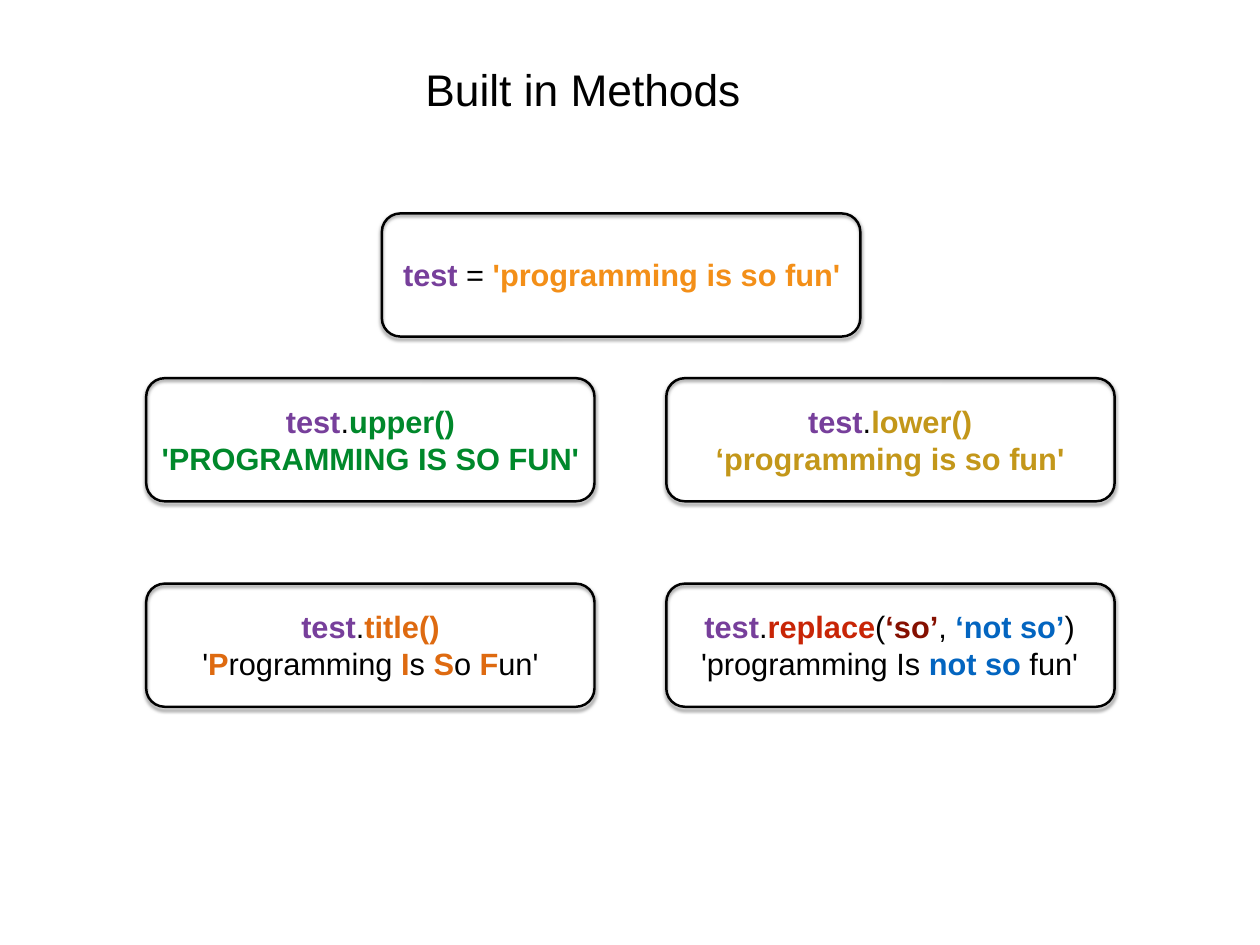
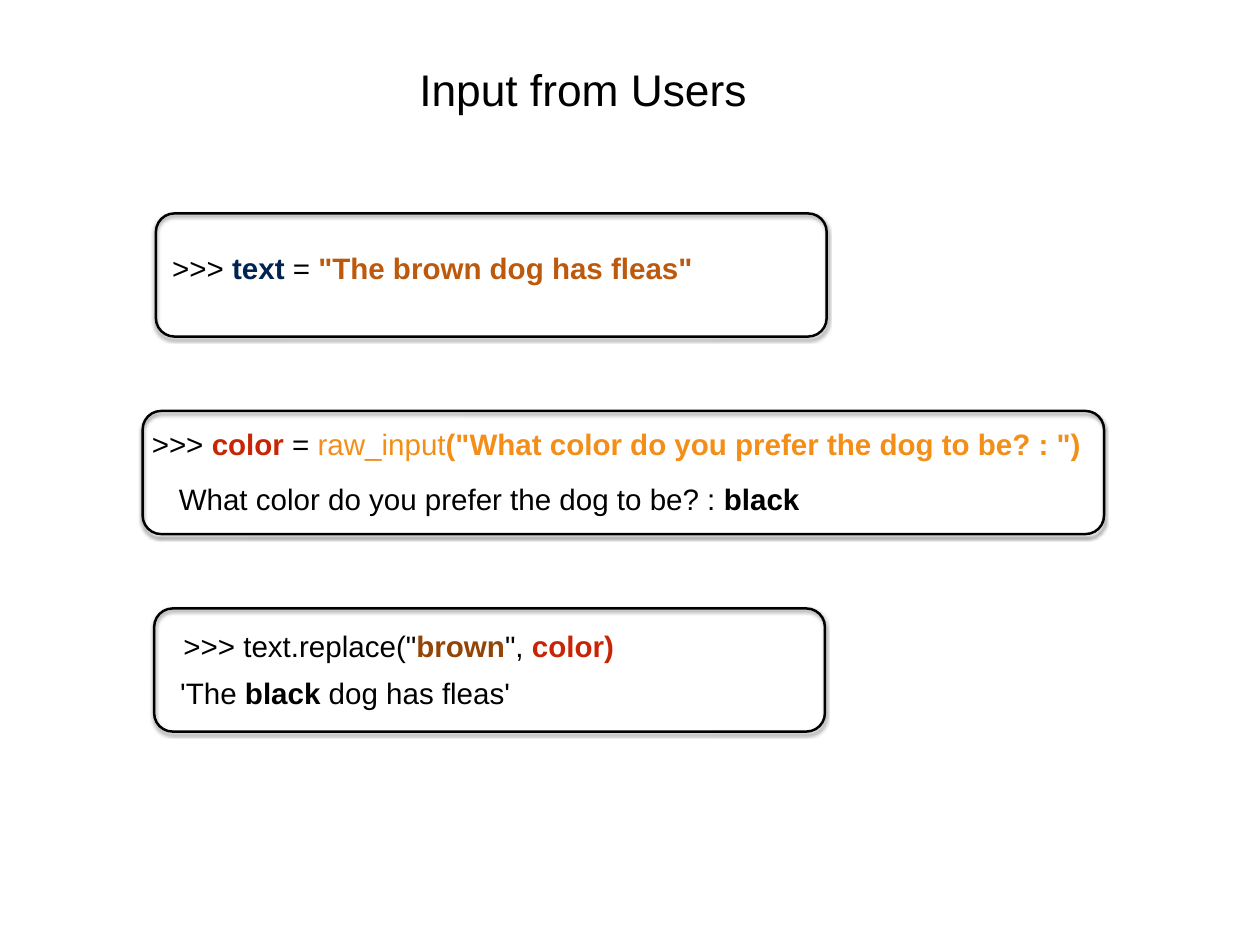
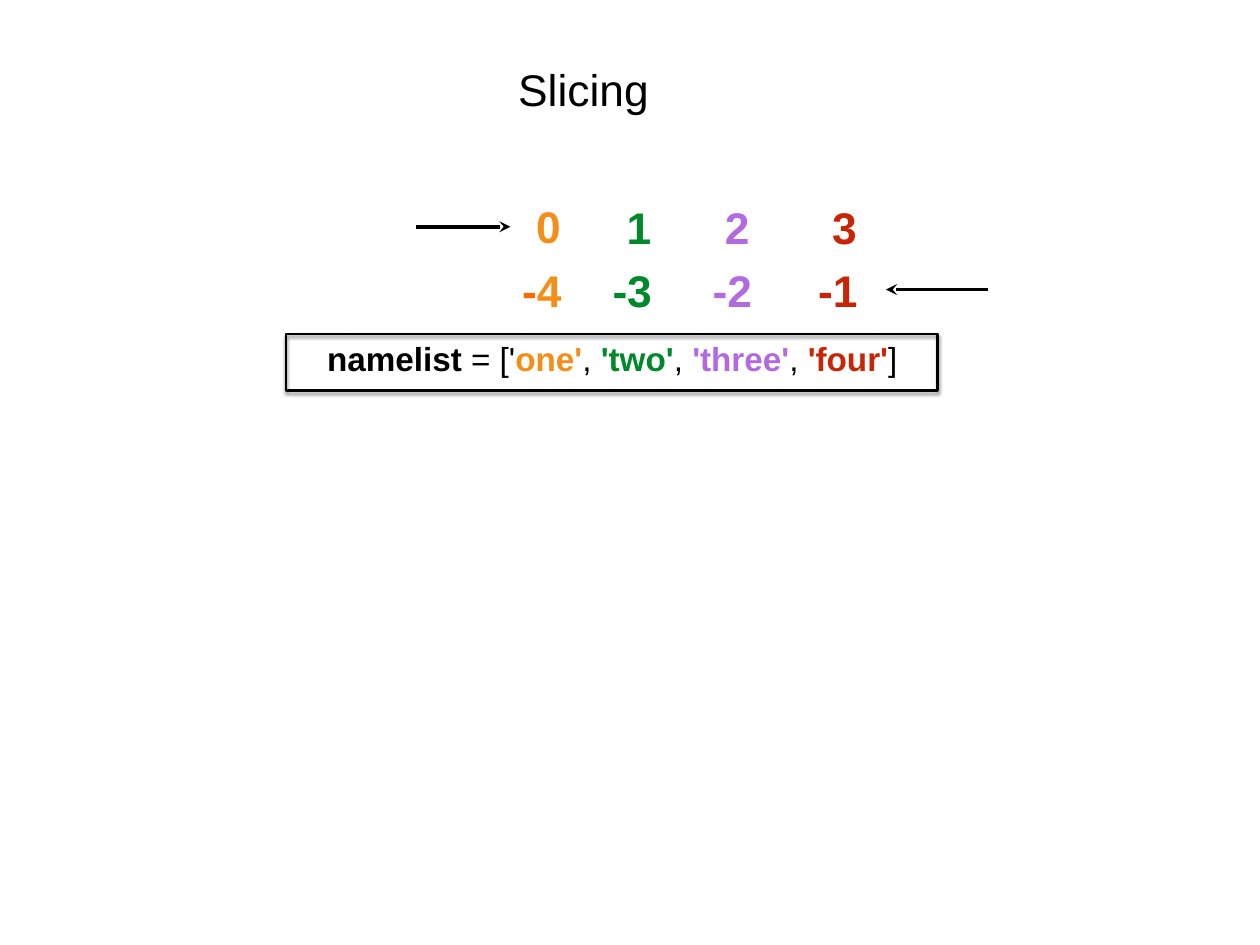
from lxml import etree
from pptx import Presentation
from pptx import util as u
from pptx.dml.color import RGBColor
from pptx.enum import shapes, text
from pptx.oxml.ns import qn

# Shared colours and style
BLACK = RGBColor(0x00, 0x00, 0x00)
WHITE = RGBColor(0xFF, 0xFF, 0xFF)
PURPLE = RGBColor(0x77, 0x3F, 0x9B)
LILAC = RGBColor(0xB3, 0x6A, 0xE1)
AMBER = RGBColor(0xF3, 0x8F, 0x18)
ORANGE = RGBColor(0xDE, 0x6A, 0x10)
BRIGHT_ORANGE = RGBColor(0xFF, 0x6A, 0x00)
RUST = RGBColor(0xBD, 0x59, 0x0C)
BROWN = RGBColor(0x92, 0x45, 0x07)
GOLD = RGBColor(0xC3, 0x97, 0x1A)
GREEN = RGBColor(0x00, 0x88, 0x2B)
RED = RGBColor(0xC8, 0x25, 0x06)
DARK_RED = RGBColor(0x85, 0x10, 0x01)
BLUE = RGBColor(0x03, 0x65, 0xC0)
NAVY = RGBColor(0x00, 0x24, 0x52)
FONT = "Arial"
TITLE_SIZE = 36
FRAME_HEIGHT = 1.39


def write(sp, at, size, *lines):
    """Place a text shape; each line is a list of (text, colour, bold) runs."""
    sp.left, sp.top, sp.width, sp.height = map(u.Inches, at)
    tf = sp.text_frame
    tf.margin_left = tf.margin_right = tf.margin_top = tf.margin_bottom = u.Inches(0.06)
    tf.vertical_anchor = text.MSO_ANCHOR.MIDDLE
    tf.word_wrap = False
    tf.auto_size = text.MSO_AUTO_SIZE.SHAPE_TO_FIT_TEXT
    for i, line in enumerate(lines):
        p = tf.add_paragraph() if i else tf.paragraphs[0]
        p.alignment = text.PP_ALIGN.CENTER
        for words, color, bold in line:
            r = p.add_run()
            r.text = words
            r.font.name, r.font.size = FONT, u.Pt(size)
            r.font.color.rgb, r.font.bold = color, bold


def add_frame(s, kind, at):
    """Add an unfilled black outline with a soft shadow below it."""
    sp = s.shapes.add_shape(kind, *map(u.Inches, at))
    if kind == shapes.MSO_SHAPE.ROUNDED_RECTANGLE:
        sp.adjustments[0] = 0.15
    sp.fill.background()
    sp.line.color.rgb = BLACK
    sp.line.width = u.Pt(2)
    sp.shadow.inherit = False
    effects = sp.element.spPr.find(qn("a:effectLst"))
    shadow = etree.SubElement(effects, qn("a:outerShdw"), blurRad=str(u.Pt(3)),
                              dist=str(u.Pt(2)), dir="5400000", rotWithShape="0")
    color = etree.SubElement(shadow, qn("a:srgbClr"), val=str(BLACK))
    etree.SubElement(color, qn("a:alpha"), val="50000")


prs = Presentation()
prs.slide_width, prs.slide_height = u.Inches(14.22), u.Inches(10.67)

# Slides and their titles
slides = []
for title, left, width in (("Built in Methods", 4.58, 4),
                           ("Input from Users", 4.58, 4),
                           ("Slicing", 5.77, 1.63)):
    s = prs.slides.add_slide(prs.slide_layouts[5])
    write(s.shapes.title, (left, 0.61, width, 0.79), TITLE_SIZE, [(title, BLACK, False)])
    slides.append(s)
methods, user_input, slicing = slides

# Built in Methods: one frame above a grid of two by two
for top in (4.27, 6.59):
    for left in (1.65, 7.52):
        add_frame(methods, shapes.MSO_SHAPE.ROUNDED_RECTANGLE, (left, top, 5.06, FRAME_HEIGHT))
add_frame(methods, shapes.MSO_SHAPE.ROUNDED_RECTANGLE, (4.31, 2.41, 5.4, FRAME_HEIGHT))

write(methods.shapes.add_textbox(0, 0, 0, 0), (4.47, 2.83, 5.09, 0.53), 25,
      [("test", PURPLE, True), (" = ", BLACK, False), ("'programming is so fun'", AMBER, True)])

calls = [
    (1.76, 4.49, 4.84, [("upper()", GREEN, True)],
     [("'PROGRAMMING IS SO FUN'", GREEN, True)]),
    (8.01, 4.49, 4.07, [("lower()", GOLD, True)],
     [("‘programming is so fun'", GOLD, True)]),
    (2.19, 6.81, 3.98, [("title()", ORANGE, True)],
     [("'", BLACK, False), ("P", ORANGE, True), ("rogramming ", BLACK, False),
      ("I", ORANGE, True), ("s ", BLACK, False), ("S", ORANGE, True),
      ("o ", BLACK, False), ("F", ORANGE, True), ("un'", BLACK, False)]),
    (7.81, 6.81, 4.46,
     [("replace", RED, True), ("(", BLACK, False), ("‘so’", DARK_RED, True),
      (", ", BLACK, False), ("‘not so’", BLUE, True), (")", BLACK, False)],
     [("'programming Is ", BLACK, False), ("not so", BLUE, True), (" fun'", BLACK, False)]),
]
for left, top, width, call, result in calls:
    write(methods.shapes.add_textbox(0, 0, 0, 0), (left, top, width, 0.94), 25,
          [("test", PURPLE, True), (".", BLACK, False)] + call, result)

# Input from Users: the prompt's answer sits on a white panel
answer = user_input.shapes.add_shape(shapes.MSO_SHAPE.RECTANGLE, 0, 0, 0, 0)
answer.fill.solid()
answer.fill.fore_color.rgb = WHITE
answer.line.fill.background()
answer.shadow.inherit = False
write(answer, (1.92, 5.38, 7.2, 0.51), 24,
      [("What color do you prefer the dog to be? : ", BLACK, False), ("black", BLACK, True)])

console = [
    (1.83, 2.77, 6.1, [(">>> ", BLACK, False), ("text", NAVY, True), (" = ", BLACK, False),
                       ('"The brown dog has fleas"', RUST, True)]),
    (1.6, 4.76, 10.71, [(">>> ", BLACK, False), ("color", RED, True), (" = ", BLACK, False),
                        ("raw_input", AMBER, False),
                        ('("What color do you prefer the dog to be? : ")', AMBER, True)]),
    (1.98, 7.04, 5.04, [('>>> text.replace("', BLACK, False), ("brown", BROWN, True),
                        ('", ', BLACK, False), ("color)", RED, True)]),
    (1.95, 7.57, 3.89, [("'The", BLACK, False), (" black ", BLACK, True),
                        ("dog has fleas'", BLACK, False)]),
]
for left, top, width, line in console:
    write(user_input.shapes.add_textbox(0, 0, 0, 0), (left, top, width, 0.51), 24, line)
for left, top, width in ((1.76, 2.41, 7.57), (1.61, 4.64, 10.85), (1.74, 6.87, 7.57)):
    add_frame(user_input, shapes.MSO_SHAPE.ROUNDED_RECTANGLE, (left, top, width, FRAME_HEIGHT))

# Slicing: indexes from the front and from the back
indexes = [
    (5.98, 2.15, 5.81, AMBER, BRIGHT_ORANGE),
    (7, 2.17, 6.83, GREEN, GREEN),
    (8.11, 2.17, 7.96, LILAC, LILAC),
    (9.32, 2.17, 9.15, RED, RED),
]
for i, (front_left, front_top, back_left, color, minus_color) in enumerate(indexes):
    write(slicing.shapes.add_textbox(0, 0, 0, 0), (front_left, front_top, 0.42, 0.79), 36,
          [(str(i), color, True)])
    write(slicing.shapes.add_textbox(0, 0, 0, 0), (back_left, 2.88, 0.61, 0.79), 36,
          [("-", minus_color, True), (str(len(indexes) - i), color, True)])

# Arrows towards the first and last index
for tip, end, y in ((10, 11.15, 3.27), (5.76, 4.7, 2.56)):
    cn = slicing.shapes.add_connector(shapes.MSO_CONNECTOR.STRAIGHT, u.Inches(tip), u.Inches(y),
                                      u.Inches(end), u.Inches(y))
    cn.line.color.rgb = BLACK
    cn.line.width = u.Pt(3)
    spPr = cn.element.spPr
    etree.SubElement(spPr.find(qn("a:ln")), qn("a:headEnd"), type="stealth")
    etree.SubElement(spPr, qn("a:effectLst"))

# The list itself
add_frame(slicing, shapes.MSO_SHAPE.RECTANGLE, (3.23, 3.77, 7.35, 0.64))
write(slicing.shapes.add_textbox(0, 0, 0, 0), (3.59, 3.76, 6.64, 0.56), 27,
      [("namelist", BLACK, True), (" = ['", BLACK, False), ("one'", AMBER, True),
       (", ", BLACK, False), ("'two'", GREEN, True), (", ", BLACK, False),
       ("'three'", LILAC, True), (", ", BLACK, False), ("'four'", RED, True),
       ("]", BLACK, False)])

prs.save("out.pptx")
